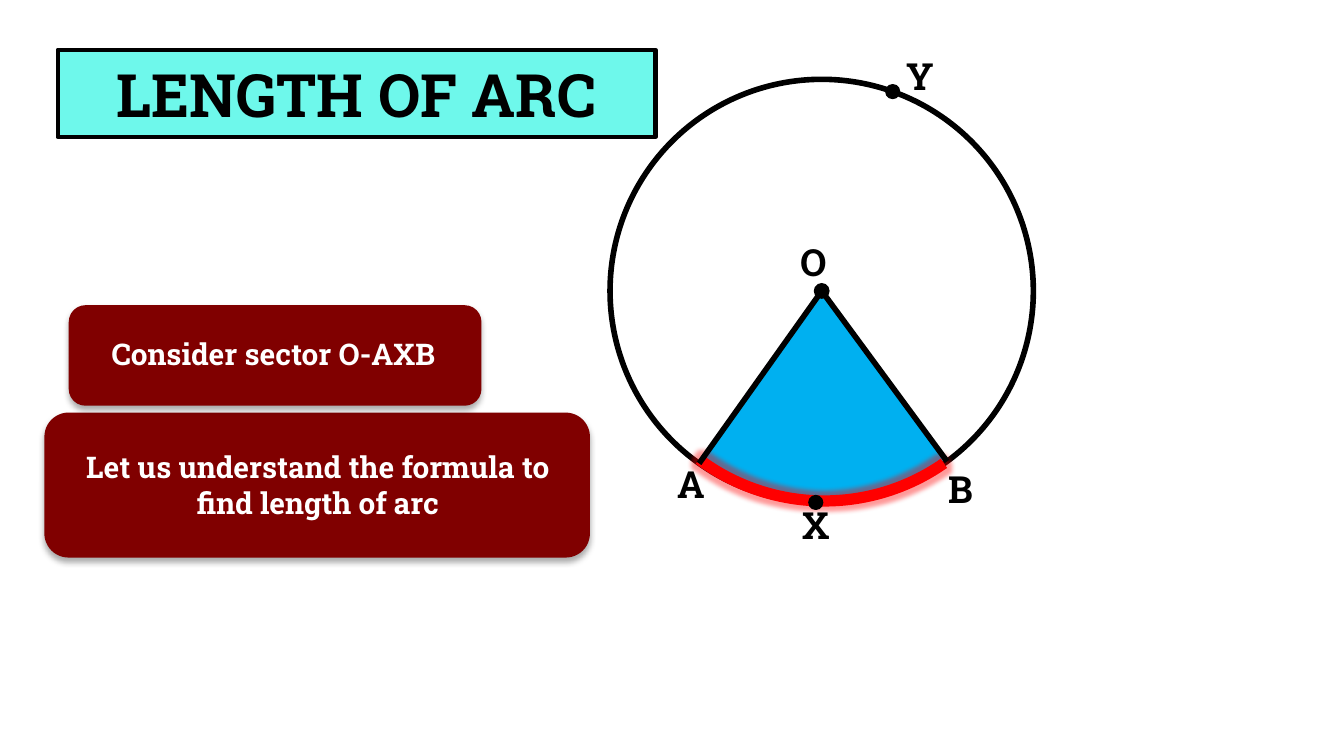
from math import cos, radians, sin

from lxml.etree import SubElement
from pptx import Presentation
from pptx.dml.color import RGBColor
from pptx.enum.shapes import MSO_CONNECTOR as Connector, MSO_SHAPE as Preset
from pptx.enum.text import MSO_ANCHOR as Anchor, PP_ALIGN as Align
from pptx.oxml.ns import qn
from pptx.util import Cm, Pt

THEME = {
    "font": "Roboto Slab",
    "ink": "000000", "paper": "FFFFFF", "title": "6EF8EB",
    "sector": "00B0F0", "arc": "FF0000", "card": "800000",
    "title_size": 32, "label_size": 20, "card_size": 16,
}
TITLE = ("LENGTH OF ARC", (1.09, 0.94, 11.3, 1.65))
CENTER, RADIUS = (15.53, 5.5), 4
ARC_CENTER, ARC_RADIUS = (15.58, 5.52), 3.95
SECTOR_ANGLES = (53.67, 125.41)
ARC_ANGLES = (55.09, 126.8)
POINT_ANGLES = (91.6, -70.4)
LABEL_HEIGHT = 1.12
LABELS = [
    ("O", 14.88, 4.39, 1.4),
    ("A", 12.55, 8.59, 1.09),
    ("B", 17.68, 8.69, 1.17),
    ("X", 14.91, 9.37, 1.09),
    ("Y", 16.89, 0.89, 1.09),
]
CARDS = [
    ("Let us understand the formula to find length of arc",
     (0.84, 7.8, 10.31, 2.74), (0.97, 8.36, 10.08, 1.63)),
    ("Consider sector O-AXB",
     (1.3, 5.77, 7.8, 1.9), (1.27, 6.22, 7.8, 0.94)),
]


def color(name):
    return RGBColor.from_string(THEME[name])


def around(center, radius):
    return center[0] - radius, center[1] - radius, 2 * radius, 2 * radius


def on_circle(angle):
    turn = radians(angle)
    return CENTER[0] + RADIUS * cos(turn), CENTER[1] + RADIUS * sin(turn)


def set_line(line, name, width):
    line.color.rgb = color(name)
    line.width = Pt(width)


def add_shape(slide, preset, box, fill=None, line=None, angles=()):
    shape = slide.shapes.add_shape(preset, *map(Cm, box))
    shape.shadow.inherit = False
    if fill:
        shape.fill.solid()
        shape.fill.fore_color.rgb = color(fill)
    else:
        shape.fill.background()
    if line:
        set_line(shape.line, *line)
    else:
        shape.line.fill.background()
    for index, angle in enumerate(angles):
        shape.adjustments[index] = angle * 0.6
    return shape


def add_effect(shape, kind, name, alpha, **values):
    effects = shape._element.spPr.find(qn("a:effectLst"))
    effect = SubElement(effects, qn(f"a:{kind}"), {key: str(value) for key, value in values.items()})
    tint = SubElement(effect, qn("a:srgbClr"), val=THEME[name])
    SubElement(tint, qn("a:alpha"), val=str(alpha * 1000))


def write(shape, text, size, name="ink", align=Align.CENTER, anchor=Anchor.TOP):
    frame = shape.text_frame
    frame.word_wrap = True
    frame.vertical_anchor = anchor
    paragraph = frame.paragraphs[0]
    paragraph.text = text
    paragraph.alignment = align
    formats = {"name": THEME["font"], "size": Pt(THEME[size]), "bold": True}
    for key, value in formats.items():
        setattr(paragraph.font, key, value)
    paragraph.font.color.rgb = color(name)


def add_text(slide, box, *content, **options):
    write(slide.shapes.add_textbox(*map(Cm, box)), *content, **options)


def draw_circle(slide):
    add_shape(slide, Preset.ARC, around(CENTER, RADIUS), "sector", angles=SECTOR_ANGLES)
    add_shape(slide, Preset.OVAL, around(CENTER, RADIUS), line=("ink", 3))
    arc = add_shape(slide, Preset.ARC, around(ARC_CENTER, ARC_RADIUS),
                    line=("arc", 6), angles=ARC_ANGLES)
    add_effect(arc, "glow", "arc", 40, rad=Pt(5))
    add_shape(slide, Preset.OVAL, around(CENTER, 0.15), "ink")
    for angle in reversed(SECTOR_ANGLES):
        ends = map(Cm, (*CENTER, *on_circle(angle)))
        side = slide.shapes.add_connector(Connector.STRAIGHT, *ends)
        set_line(side.line, "ink", 3)
        SubElement(side._element.spPr, qn("a:effectLst"))
    for angle in POINT_ANGLES:
        add_shape(slide, Preset.OVAL, around(on_circle(angle), 0.13), "ink", ("ink", 0.75))
    for text, left, top, width in LABELS:
        add_text(slide, (left, top, width, LABEL_HEIGHT), text, "label_size", align=Align.LEFT)


def main():
    """Build the slide on the length of an arc."""
    presentation = Presentation()
    presentation.slide_width, presentation.slide_height = Cm(25.4), Cm(14.29)
    slide = presentation.slides.add_slide(presentation.slide_layouts[6])
    slide.background.fill.solid()
    slide.background.fill.fore_color.rgb = color("paper")
    draw_circle(slide)
    text, box = TITLE
    title = add_shape(slide, Preset.RECTANGLE, box, "title", ("ink", 2.25))
    write(title, text, "title_size", anchor=Anchor.MIDDLE)
    for text, box, text_box in CARDS:
        card = add_shape(slide, Preset.ROUNDED_RECTANGLE, box, "card")
        add_effect(card, "outerShdw", "ink", 32, blurRad=Pt(3.5), dist=Pt(2.2),
                   dir=90 * 60000, rotWithShape=0)
        add_text(slide, text_box, text, "card_size", "paper")
    presentation.save("out.pptx")


if __name__ == "__main__":
    main()
